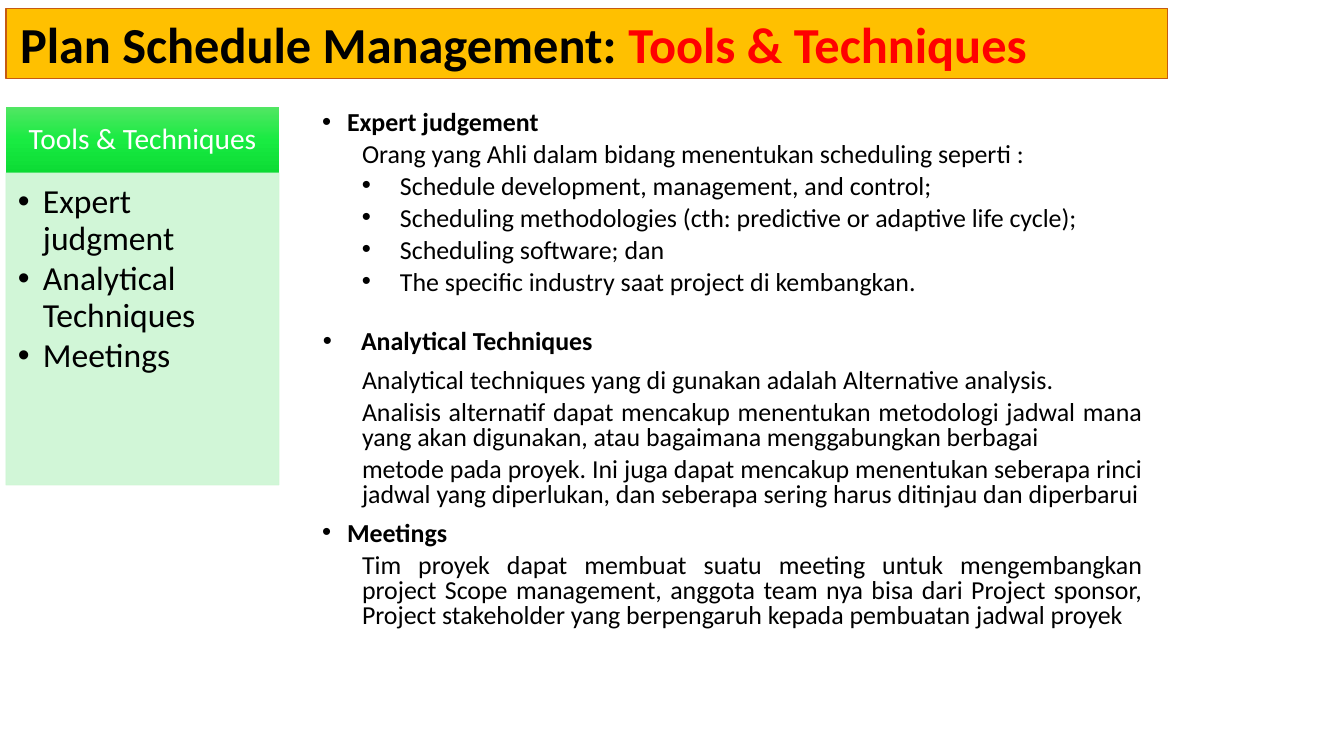
"""Build the Plan Schedule Management slide on tools and techniques."""
import copy

import lxml.etree
import pptx
import pptx.dml.color
import pptx.enum.shapes
import pptx.enum.text
import pptx.oxml.ns
import pptx.util

PX = 914400 / 100.8
FONT = "Calibri"
COLORS = {
    "black": "000000", "white": "FFFFFF", "red": "FF0000",
    "amber": "FFC000", "rust": "C55A11", "mint": "CCF6D3",
    "green_top": "51E663", "green_middle": "19EB42", "green_bottom": "0CDB34",
}
ALIGN = pptx.enum.text.PP_ALIGN
ANCHOR = pptx.enum.text.MSO_ANCHOR

TECHNIQUES = ["Expert judgment", "Analytical Techniques", "Meetings"]

STYLES = {
    "heading": dict(bold=True, margin=25, hanging=25, spacing=0.8, before=10),
    "wide_heading": dict(bold=True, margin=39, hanging=38, spacing=0.9, before=23, align=ALIGN.LEFT),
    "lead": dict(margin=40, spacing=0.9, before=7.5),
    "prose": dict(level=1, margin=40, spacing=0.8, before=5),
    "bullet": dict(level=1, margin=78, hanging=38, spacing=0.8, before=5),
}
DETAILS = [
    ("heading", "Expert judgement"),
    ("prose", "Orang yang Ahli dalam bidang menentukan scheduling seperti :"),
    ("bullet", "Schedule development, management, and control;"),
    ("bullet", "Scheduling methodologies (cth: predictive or adaptive life cycle);"),
    ("bullet", "Scheduling software; dan"),
    ("bullet", "The specific industry saat project di kembangkan."),
    ("wide_heading", "Analytical Techniques"),
    ("lead", "Analytical techniques yang di gunakan adalah Alternative analysis."),
    ("prose", "Analisis alternatif dapat mencakup menentukan metodologi jadwal mana "
              "yang akan digunakan, atau bagaimana menggabungkan berbagai"),
    ("prose", "metode pada proyek. Ini juga dapat mencakup menentukan seberapa rinci "
              "jadwal yang diperlukan, dan seberapa sering harus ditinjau dan diperbarui"),
    ("heading", "Meetings"),
    ("prose", "Tim proyek dapat membuat suatu meeting untuk mengembangkan project Scope "
              "management, anggota team nya bisa dari Project sponsor, Project stakeholder "
              "yang berpengaruh kepada pembuatan jadwal proyek"),
]


def px(length):
    """Turn a length in px into EMU."""
    return pptx.util.Emu(round(length * PX))


def rgb(name):
    """Look up a named colour."""
    return pptx.dml.color.RGBColor.from_string(COLORS[name])


def place(shape, left, top, width, height):
    """Move and size a shape."""
    shape.left, shape.top = px(left), px(top)
    shape.width, shape.height = px(width), px(height)


def set_frame(shape, insets, anchor=ANCHOR.TOP):
    """Set insets (left, top, right, bottom), anchor and wrapping of a text frame."""
    frame = shape.text_frame
    frame.margin_left, frame.margin_top, frame.margin_right, frame.margin_bottom = map(px, insets)
    frame.vertical_anchor = anchor
    frame.word_wrap = True
    frame.auto_size = pptx.enum.text.MSO_AUTO_SIZE.NONE
    return frame


def set_font(para, size, color=None, bold=False):
    """Set the font of a whole paragraph."""
    para.font.name = FONT
    para.font.size = pptx.util.Pt(size)
    para.font.bold = bold
    if color:
        para.font.color.rgb = rgb(color)


def set_indent(para, margin, hanging):
    """Indent a paragraph, with a bullet when the indent is hanging."""
    properties = para._p.get_or_add_pPr()
    properties.set("marL", str(px(margin)))
    properties.set("indent", str(-px(hanging)))
    qn = pptx.oxml.ns.qn
    if hanging:
        lxml.etree.SubElement(properties, qn("a:buFont"), typeface="Arial")
        lxml.etree.SubElement(properties, qn("a:buChar"), char="•")
    else:
        lxml.etree.SubElement(properties, qn("a:buNone"))


def add_paragraph(frame, is_first, text, size, margin=0, hanging=0, spacing=0.9, before=0,
                  after=0, align=ALIGN.LEFT, bold=False, level=0, color="black"):
    """Write one formatted paragraph into a text frame."""
    para = frame.paragraphs[0] if is_first else frame.add_paragraph()
    para.text = text
    para.level = level
    para.alignment = align
    para.line_spacing = spacing
    para.space_before = pptx.util.Pt(0 if is_first else before)
    para.space_after = pptx.util.Pt(after)
    set_indent(para, margin, hanging)
    set_font(para, size, color, bold)


def add_panel(slide, left, top, width, height):
    """Add a plain rectangle without shadow."""
    panel = slide.shapes.add_shape(pptx.enum.shapes.MSO_SHAPE.RECTANGLE,
                                   px(left), px(top), px(width), px(height))
    panel.shadow.inherit = False
    return panel


def fill_gradient(shape, names):
    """Fill a shape with an even top-to-bottom gradient."""
    shape.fill.gradient()
    shape.fill.gradient_angle = 270
    stop_list = shape.fill._fill._gradFill.gsLst
    stop_list.insert(1, copy.deepcopy(stop_list[0]))
    for index, (stop, name) in enumerate(zip(shape.fill.gradient_stops, names)):
        stop.position = index / (len(names) - 1)
        stop.color.rgb = rgb(name)


def build_title(title):
    """Format the title bar."""
    place(title, 6, 8, 1162, 71)
    title.fill.solid()
    title.fill.fore_color.rgb = rgb("amber")
    title.line.color.rgb = rgb("rust")
    title.line.width = pptx.util.Pt(0.75)
    para = set_frame(title, (14, 5, 9, 5)).paragraphs[0]
    para.alignment = ALIGN.LEFT
    set_font(para, 36, bold=True)
    for text, color in (("Plan Schedule Management: ", "black"), ("Tools & Techniques", "red")):
        span = para.add_run()
        span.text = text
        span.font.color.rgb = rgb(color)


def build_sidebar(slide):
    """Add the green header and the list of techniques below it."""
    header = add_panel(slide, 6, 107, 273, 66)
    fill_gradient(header, ("green_top", "green_middle", "green_bottom"))
    header.line.fill.background()
    frame = set_frame(header, (16, 9, 16, 9), ANCHOR.MIDDLE)
    add_paragraph(frame, True, "Tools & Techniques", 21, align=ALIGN.CENTER, color="white")

    panel = add_panel(slide, 6, 173, 273, 312)
    panel.fill.solid()
    panel.fill.fore_color.rgb = rgb("mint")
    panel.line.color.rgb = rgb("mint")
    panel.line.width = pptx.util.Pt(0.5)
    qn = pptx.oxml.ns.qn
    for color in panel._element.spPr.iter(qn("a:srgbClr")):
        lxml.etree.SubElement(color, qn("a:alpha"), val="90000")
    frame = set_frame(panel, (12, 12, 16, 18))
    for index, technique in enumerate(TECHNIQUES):
        add_paragraph(frame, index == 0, technique, 24, margin=25, hanging=25, after=3)


def build_details(body):
    """Fill the body with the explanation of each technique."""
    place(body, 312, 107, 840, 631)
    frame = set_frame(body, (10, 5, 10, 5))
    for index, (style, text) in enumerate(DETAILS):
        options = {"align": ALIGN.JUSTIFY, **STYLES[style]}
        add_paragraph(frame, index == 0, text, 18.5, **options)


def main():
    """Build and save the deck."""
    deck = pptx.Presentation()
    deck.slide_width, deck.slide_height = px(1344), px(756)
    slide = deck.slides.add_slide(deck.slide_layouts[1])
    build_title(slide.shapes.title)
    build_sidebar(slide)
    build_details(slide.placeholders[1])
    deck.save("out.pptx")


if __name__ == "__main__":
    main()
